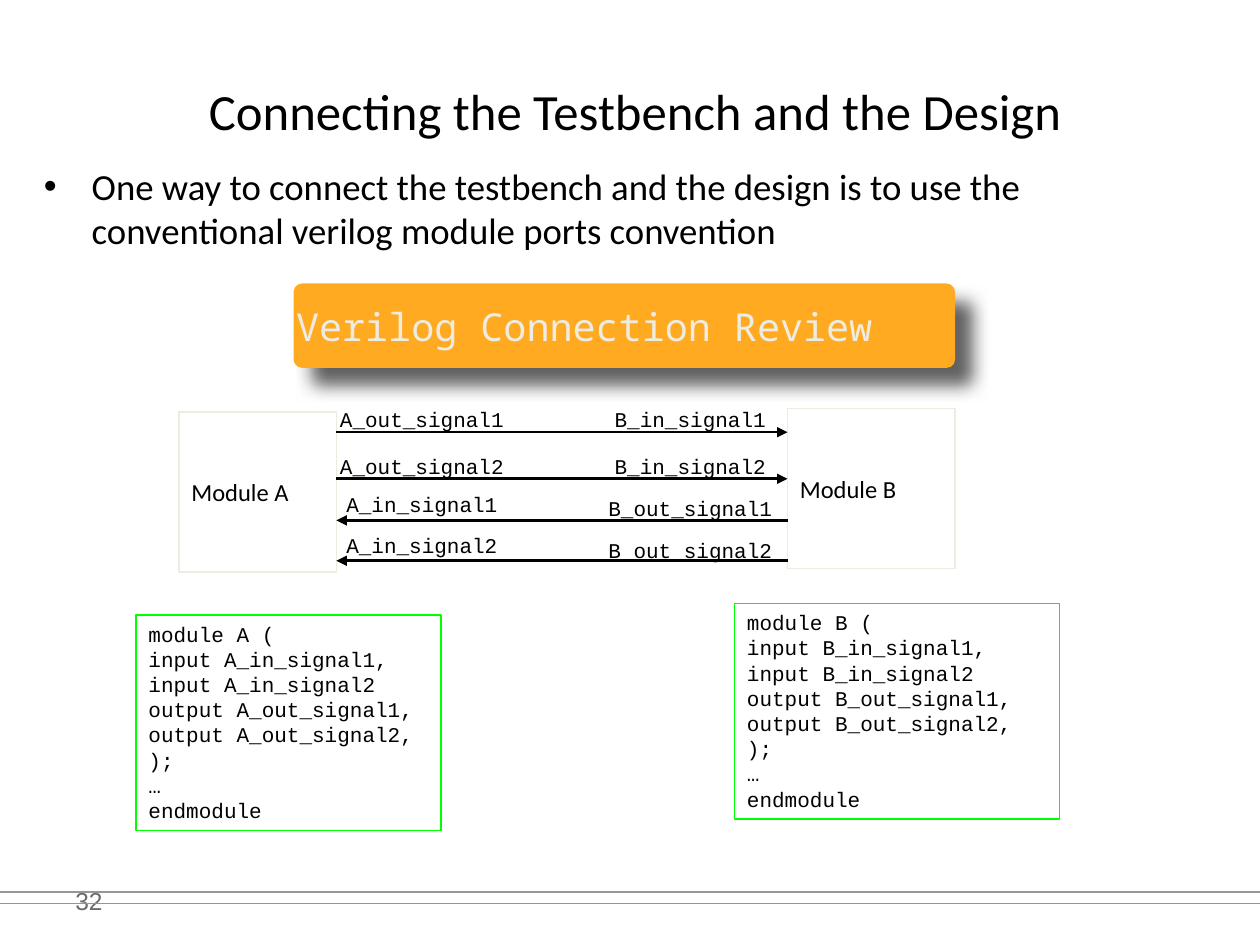
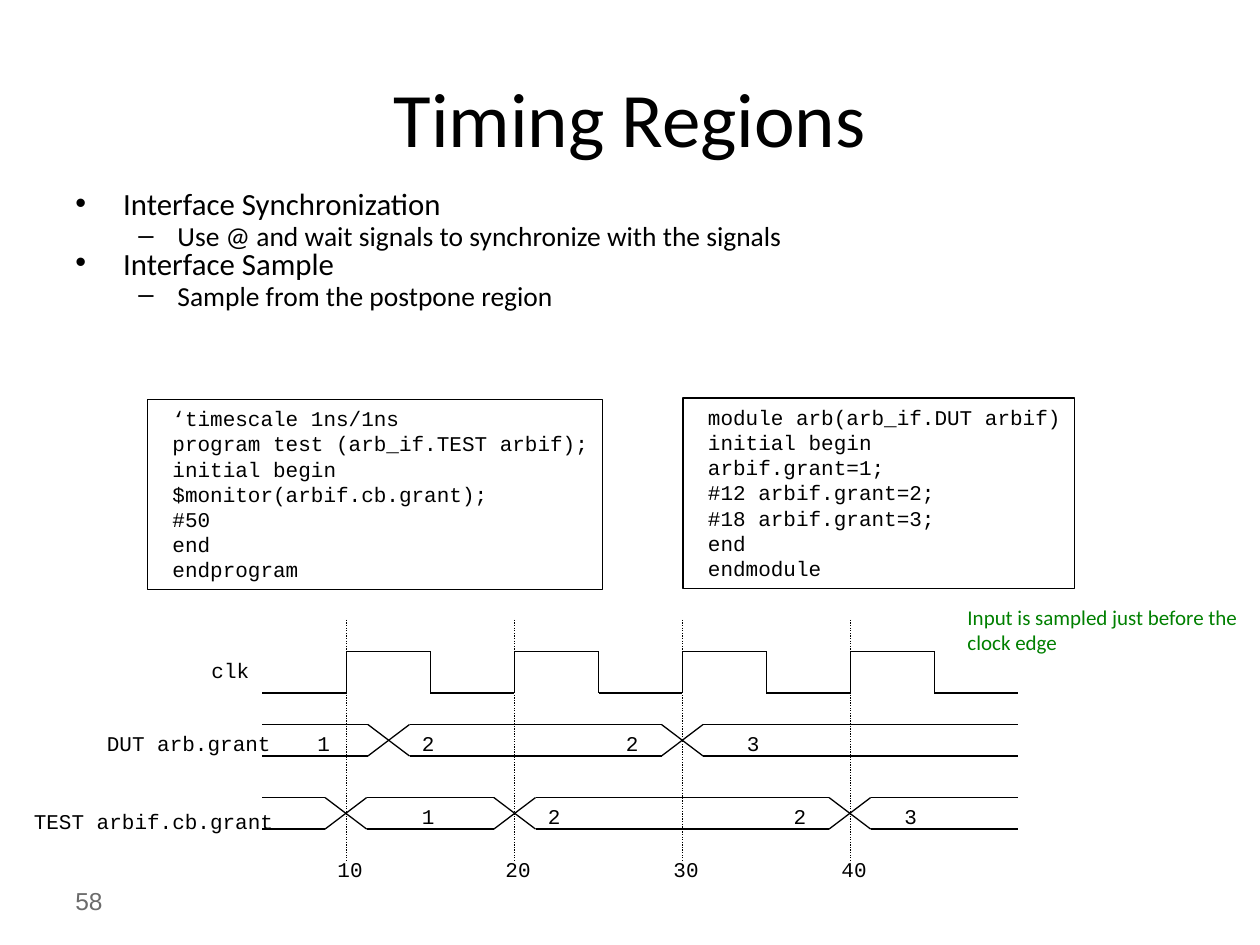
from itertools import pairwise

from pptx import Presentation, util as u
from pptx.dml.color import RGBColor
from pptx.enum import dml, shapes, text
from pptx.oxml import parse_xml
from pptx.oxml.ns import nsdecls

BLACK = RGBColor(0x00, 0x00, 0x00)
GREY = RGBColor(0x6B, 0x6B, 0x6B)
RULE = RGBColor(0x96, 0x96, 0x96)
CREAM = RGBColor(0xEE, 0xEC, 0xE1)
LIME = RGBColor(0x00, 0xFF, 0x00)
GREEN = RGBColor(0x00, 0x80, 0x00)
ORANGE = RGBColor(0xFF, 0xAA, 0x21)
SANS, CODE = "Calibri", "Courier New"
RECT = shapes.MSO_SHAPE.RECTANGLE
MIDDLE = text.MSO_ANCHOR.MIDDLE
CENTER = text.PP_ALIGN.CENTER


def put(s, words, x, y, w=None, h=0.3, kind=None, size=12, font=CODE, color=BLACK,
        edge=None, fill=None, wrap=True, anchor=text.MSO_ANCHOR.TOP,
        align=text.PP_ALIGN.LEFT):
    if w is None:
        w, wrap = 0.1 * len(words) + 0.2, False
    box = [u.Inches(v) for v in (x, y, w, h)]
    if kind is None:
        sp = s.shapes.add_textbox(*box)
    else:
        sp = s.shapes.add_shape(kind, *box)
        sp.shadow.inherit = False
        if fill is None:
            sp.fill.background()
        else:
            sp.fill.solid()
            sp.fill.fore_color.rgb = fill
        if edge is None:
            sp.line.fill.background()
        else:
            sp.line.color.rgb = edge
            sp.line.width = u.Pt(0.75)
    tf = sp.text_frame
    tf.word_wrap = wrap
    tf.vertical_anchor = anchor
    for i, row in enumerate(words.split("\n")):
        p = tf.add_paragraph() if i else tf.paragraphs[0]
        p.alignment = align
        r = p.add_run()
        r.text = row
        r.font.size = u.Pt(size)
        r.font.name = font
        r.font.color.rgb = color
    return sp


def line(s, x1, y1, x2, y2, color=BLACK, width=0.75, dash=None, arrow=False):
    ends = [u.Inches(v) for v in (x1, y1, x2, y2)]
    c = s.shapes.add_connector(shapes.MSO_CONNECTOR.STRAIGHT, *ends)
    c.line.color.rgb = color
    c.line.width = u.Pt(width)
    if dash:
        c.line.dash_style = dash
    if arrow:
        c.line._get_or_add_ln().append(
            parse_xml(f'<a:tailEnd {nsdecls("a")} type="triangle"/>'))
    c._element.spPr.append(parse_xml(f'<a:effectLst {nsdecls("a")}/>'))


prs = Presentation()
prs.slide_width = u.Inches(10)
prs.slide_height = u.Inches(7.5)

pages = [
    ("32", "Connecting the Testbench and the Design", 29, (0.42, 0.25, 9.25, 1.25),
     (0.25, 1.25, 9.33, 4.95), None,
     [(0, 21, "One way to connect the testbench and the design is to use the "
              "conventional verilog module ports convention")]),
    ("58", "Timing Regions", 44, (0.5, 0.3, 9, 1.25),
     (0.5, 1.5, 9, 1.08), 0.7,
     [(0, 17.6, "Interface Synchronization"),
      (1, 15.7, "Use @ and wait signals to synchronize with the signals"),
      (0, 17.6, "Interface Sample"),
      (1, 15.7, "Sample from the postpone region")]),
]
bullet_styles = [("•", 0.38, -0.38, 2), ("–", 0.81, -0.31, 4)]

for number, title, size, title_box, body_box, spacing, bullets in pages:
    s = prs.slides.add_slide(prs.slide_layouts[6])
    put(s, number, 0.5, 6.95, 2.33, 0.4, size=14, font="Arial", color=GREY, anchor=MIDDLE)
    put(s, title, *title_box, size=size, font=SANS, anchor=MIDDLE, align=CENTER)
    body = put(s, "\n".join(b[2] for b in bullets), *body_box, font=SANS)
    for i, (p, (level, size, _)) in enumerate(zip(body.text_frame.paragraphs, bullets)):
        mark, margin, indent, before = bullet_styles[level]
        pPr = p._p.get_or_add_pPr()
        pPr.set("marL", str(u.Inches(margin)))
        pPr.set("indent", str(u.Inches(indent)))
        pPr.append(parse_xml(f'<a:buFont {nsdecls("a")} typeface="Arial"/>'))
        pPr.append(parse_xml(f'<a:buChar {nsdecls("a")} char="{mark}"/>'))
        p.level = level
        if spacing:
            p.line_spacing = spacing
        if i:
            p.space_before = u.Pt(before)
        p.runs[0].font.size = u.Pt(size)

ports, timing = prs.slides

for y in (7.08, 7.17):
    line(ports, 0, y, 10, y, color=RULE)

for name, x, y, w in (("A", 1.42, 3.27, 1.25), ("B", 6.25, 3.24, 1.33)):
    put(ports, f"Module {name}", x, y, w, 1.27, kind=RECT, edge=CREAM, size=14,
        font=SANS, anchor=MIDDLE)

for name, x, y, w in (("A", 1.08, 4.88, 2.42), ("B", 5.83, 4.79, 2.58)):
    put(ports, f"module {name} (\ninput {name}_in_signal1,\ninput {name}_in_signal2\n"
        f"output {name}_out_signal1,\noutput {name}_out_signal2,\n);\n…\nendmodule",
        x, y, w, 1.71, kind=RECT, edge=LIME)

left, right = 2.67, 6.25
for n, y, label_y in ((1, 3.43, 3.18), (2, 3.8, 3.55)):
    line(ports, left, y, right, y, width=1.5, arrow=True)
    put(ports, f"A_out_signal{n}", 2.6, label_y)
    put(ports, f"B_in_signal{n}", 4.78, label_y)
for n, y, a_y, b_y in ((1, 4.13, 3.85, 3.88), (2, 4.45, 4.18, 4.22)):
    line(ports, right, y, left, y, width=1.5, arrow=True)
    put(ports, f"A_in_signal{n}", 2.65, a_y)
    put(ports, f"B_out_signal{n}", 4.73, b_y)

banner = put(ports, "Verilog Connection Review", 2.33, 2.25, 5.25, 0.67,
             kind=shapes.MSO_SHAPE.ROUNDED_RECTANGLE, fill=ORANGE, size=22,
             font="Noto Sans Mono", color=CREAM, anchor=MIDDLE)
banner.adjustments[0] = 0.1
tf = banner.text_frame
tf.margin_left = tf.margin_right = tf.margin_top = tf.margin_bottom = 0
banner._element.spPr.find("{*}effectLst").append(parse_xml(
    f'<a:outerShdw {nsdecls("a")} blurRad="{u.Pt(10)}" dist="{u.Pt(14)}" dir="2700000" '
    'algn="tl" rotWithShape="0"><a:srgbClr val="2E2E2E"><a:alpha val="75000"/>'
    '</a:srgbClr></a:outerShdw>'))

test_code = """ ‘timescale 1ns/1ns
 program test (arb_if.TEST arbif);
 initial begin
 $monitor(arbif.cb.grant);
 #50
 end
 endprogram"""
dut_code = """ module arb(arb_if.DUT arbif)
 initial begin
 arbif.grant=1;
 #12 arbif.grant=2;
 #18 arbif.grant=3;
 end
 endmodule"""
put(timing, test_code, 1.17, 3.17, 3.61, 1.51, kind=RECT, edge=BLACK, wrap=False)
put(timing, dut_code, 5.42, 3.16, 3.11, 1.51, kind=RECT, edge=BLACK, wrap=False)

start, end, period = 2.08, 8.08, 4 / 3
low, high = 5.5, 5.17
clock = [(start, low)]
for i in range(4):
    rise = 2.75 + i * period
    fall = rise + period / 2
    clock += [(rise, low), (rise, high), (fall, high), (fall, low)]
    line(timing, rise, 4.92, rise, 6.83, dash=dml.MSO_LINE.ROUND_DOT)
    put(timing, str(10 * (i + 1)), rise - 0.17, 6.75)
clock.append((end, low))
for a, b in pairwise(clock):
    line(timing, *a, *b)

cross = 0.33
buses = [
    (5.75, [2.92, 5.25], [("1", 2.42), ("2", 3.25), ("2", 4.87), ("3", 5.83)]),
    (6.33, [2.58, 3.92, 6.58], [("1", 3.25), ("2", 4.25), ("2", 6.2), ("3", 7.08)]),
]
for top, crossings, values in buses:
    bottom = top + 0.25
    for x in crossings:
        line(timing, x, top, x + cross, bottom)
        line(timing, x, bottom, x + cross, top)
    for x1, x2 in zip([start] + [x + cross for x in crossings], crossings + [end]):
        for y in (top, bottom):
            line(timing, x1, y, x2, y)
    for value, x in values:
        put(timing, value, x, top)

for label, x, y in (("clk", 1.58, 5.17), ("DUT arb.grant", 0.75, 5.75),
                    ("TEST arbif.cb.grant", 0.17, 6.37)):
    put(timing, label, x, y)
put(timing, "Input is sampled just before the clock edge", 7.58, 4.75, 2.42, 0.5,
    font=SANS, color=GREEN)

prs.save("out.pptx")
